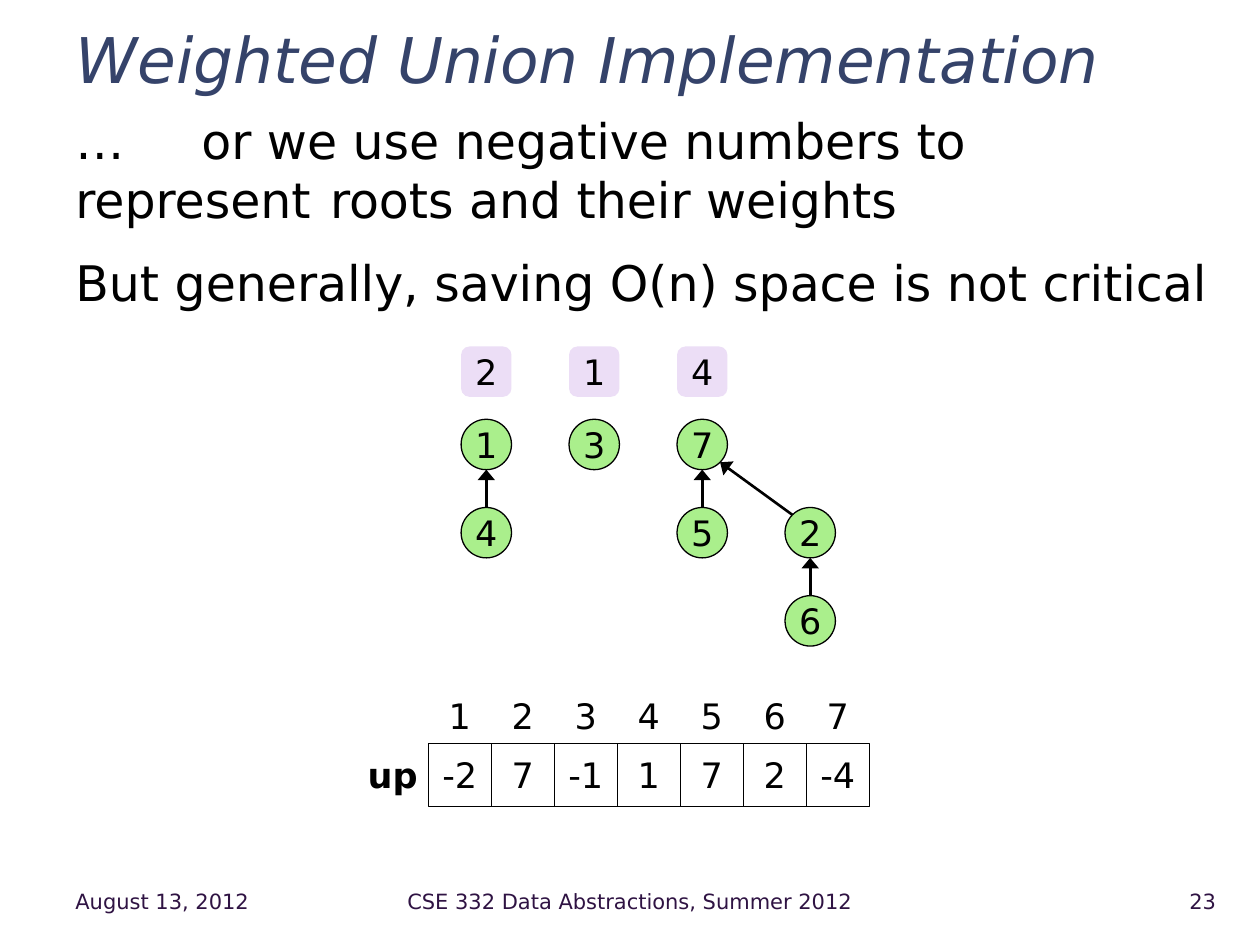
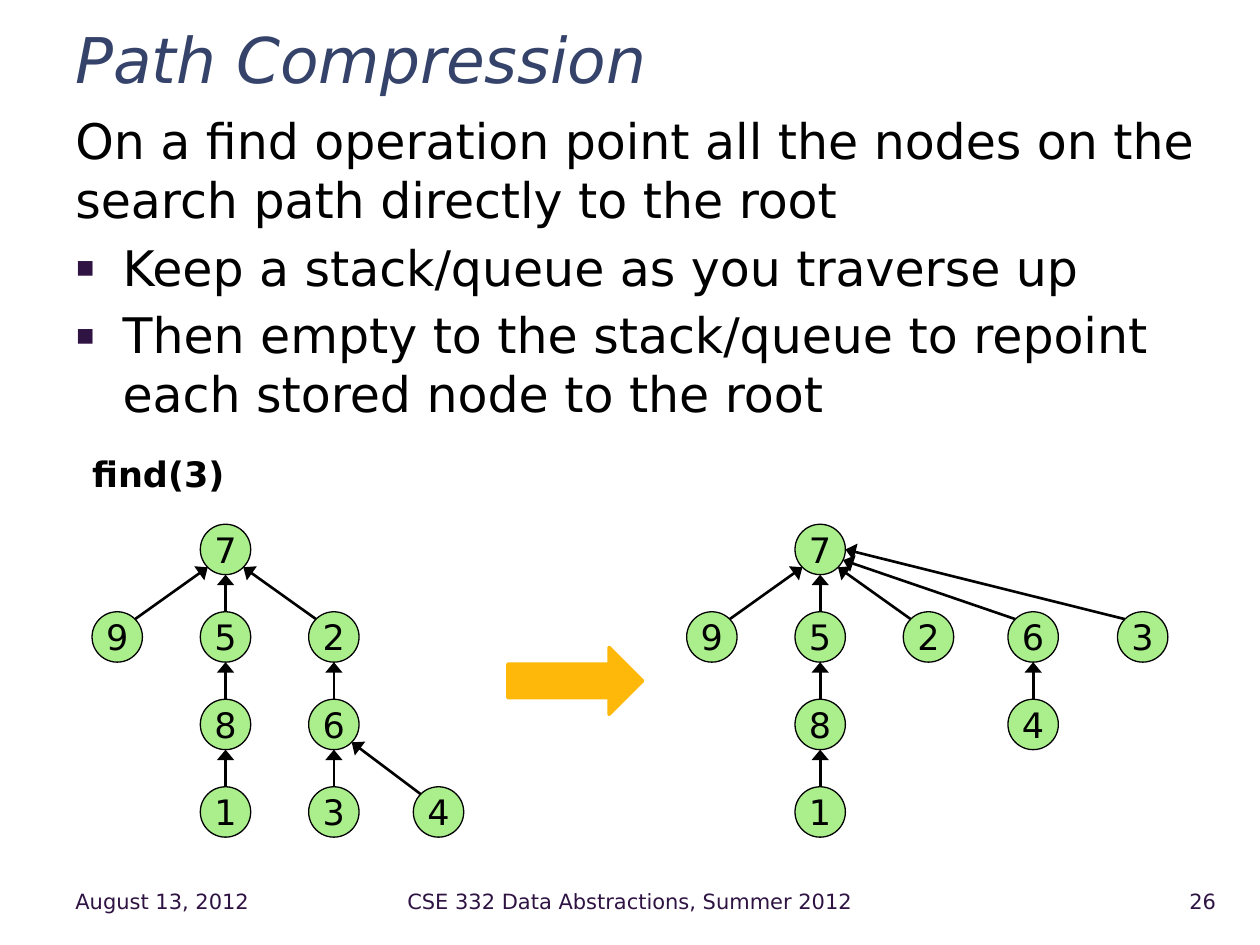
from math import cos, radians, sin
from lxml.etree import SubElement
from pptx import Presentation
from pptx.dml.color import RGBColor
from pptx.enum.shapes import MSO_CONNECTOR as CONNECTOR, MSO_SHAPE as SHAPE
from pptx.enum.text import MSO_ANCHOR as ANCHOR, PP_ALIGN as ALIGN
from pptx.oxml.ns import qn
from pptx.util import Pt

# Shared style
FONT = "DejaVu Sans"
BLACK, TITLE_BLUE, PURPLE = "000000", "35436A", "2F1343"
NODE_GREEN, WEIGHT_LILAC, ARROW_ORANGE = "AAEF8C", "ECDEF6", "FEB80A"
NODE = 28.8
RADIUS = NODE / 2
CELL = 36
color = RGBColor.from_string


def write(shape, text, size=20, ink=BLACK, align=ALIGN.CENTER, wrap=False,
          anchor=ANCHOR.MIDDLE, bold=False, italic=False):
    frame = shape.text_frame
    frame.text = text
    frame.word_wrap = wrap
    frame.vertical_anchor = anchor
    for paragraph in frame.paragraphs:
        paragraph.alignment = align
        for run in paragraph.runs:
            run.font.name, run.font.size = FONT, Pt(size)
            run.font.bold, run.font.italic = bold, italic
            run.font.color.rgb = color(ink)
    return frame


def draw_tree(slide, nodes, edges, end_angles={}):
    """Draw nodes {label: centre} and child-to-parent arrows ("41" is 4 to 1)."""
    for child, parent in edges:
        (child_x, child_y), (parent_x, parent_y) = nodes[child], nodes[parent]
        side = (child_x > parent_x) - (child_x < parent_x)
        start = radians(45 if side else 90)
        end = radians(end_angles.get(child, 45 if side else 90))
        arrow = slide.shapes.add_connector(
            CONNECTOR.STRAIGHT,
            Pt(child_x - side * RADIUS * cos(start)), Pt(child_y - RADIUS * sin(start)),
            Pt(parent_x + side * RADIUS * cos(end)), Pt(parent_y + RADIUS * sin(end)))
        arrow.line.color.rgb = color(BLACK)
        arrow.line.width = Pt(1.5)
        SubElement(arrow.line._get_or_add_ln(), qn("a:tailEnd"), type="triangle", w="lg")
        SubElement(arrow._element.spPr, qn("a:effectLst"))
    for label, (x, y) in nodes.items():
        circle = slide.shapes.add_shape(
            SHAPE.OVAL, Pt(x - RADIUS), Pt(y - RADIUS), Pt(NODE), Pt(NODE))
        circle.shadow.inherit = False
        circle.fill.solid()
        circle.fill.fore_color.rgb = color(NODE_GREEN)
        circle.line.color.rgb = color(BLACK)
        circle.line.width = Pt(0.75)
        write(circle, label)


presentation = Presentation()
presentation.slide_width, presentation.slide_height = Pt(720), Pt(540)

# Title, body and footer of each slide
contents = [
    ("Weighted Union Implementation", "23", 432,
     ["…\tor we use negative numbers to represent \troots and their weights",
      "But generally, saving O(n) space is not critical"]),
    ("Path Compression", "26", 190.8,
     ["On a find operation point all the nodes on the search path directly to the root",
      "Keep a stack/queue as you traverse up",
      "Then empty to the stack/queue to repoint each stored node to the root"]),
]
slides, bodies = [], []
for title, number, body_height, lines in contents:
    slide = presentation.slides.add_slide(presentation.slide_layouts[6])
    slides.append(slide)
    title_box = slide.shapes.add_textbox(Pt(36), Pt(12.24), Pt(666), Pt(38.16))
    frame = write(title_box, title, 36, TITLE_BLUE, ALIGN.LEFT, True, italic=True)
    frame.paragraphs[0].line_spacing = 1.1

    body_box = slide.shapes.add_textbox(Pt(36), Pt(59.76), Pt(666), Pt(body_height))
    bodies.append(write(body_box, "\n".join(lines), 28, align=ALIGN.LEFT, wrap=True,
                        anchor=ANCHOR.TOP))

    for left, width, text, align in [
            (36, 126, "August 13, 2012", ALIGN.LEFT),
            (167.3, 385.2, "CSE 332 Data Abstractions, Summer 2012", ALIGN.CENTER),
            (640, 62, number, ALIGN.RIGHT)]:
        footer = slide.shapes.add_textbox(Pt(left), Pt(500.4), Pt(width), Pt(28.8))
        write(footer, text, 12, PURPLE, align, True)

union_slide, compression_slide = slides

# Weighted union: tab stops and paragraph gap
opening, remark = bodies[0].paragraphs
tab_stops = SubElement(opening._p.get_or_add_pPr(), qn("a:tabLst"))
for position in (72, 145.5):
    SubElement(tab_stops, qn("a:tab"), pos=str(Pt(position)), algn="l")
remark.space_before = Pt(13.8)

# Weighted union: forest with the weight above each root
columns = [277.9 + 61.7 * i for i in range(4)]
rows = [254 + 50.4 * i for i in range(3)]
places = {"1": (0, 0), "4": (0, 1), "3": (1, 0), "5": (2, 1), "7": (2, 0),
          "2": (3, 1), "6": (3, 2)}
forest = {label: (columns[c], rows[r]) for label, (c, r) in places.items()}
draw_tree(union_slide, forest, ["41", "57", "27", "62"])
for x, weight in zip(columns, "214"):
    badge = union_slide.shapes.add_shape(
        SHAPE.ROUNDED_RECTANGLE, Pt(x - RADIUS), Pt(198), Pt(NODE), Pt(NODE))
    badge.shadow.inherit = False
    badge.fill.solid()
    badge.fill.fore_color.rgb = color(WEIGHT_LILAC)
    badge.line.fill.background()
    write(badge, weight)

# Weighted union: the "up" array with its indices
for i, value in enumerate(["-2", "7", "-1", "1", "7", "2", "-4"]):
    left = Pt(244.8 + CELL * i)
    cell = union_slide.shapes.add_shape(
        SHAPE.RECTANGLE, left, Pt(424.8), Pt(CELL), Pt(CELL))
    cell.shadow.inherit = False
    cell.fill.background()
    cell.line.color.rgb = color(BLACK)
    cell.line.width = Pt(0.75)
    write(cell, value)
    index = union_slide.shapes.add_textbox(left, Pt(391), Pt(CELL), Pt(CELL))
    write(index, str(i + 1))
array_name = union_slide.shapes.add_textbox(Pt(203), Pt(424.4), Pt(41), Pt(CELL))
frame = write(array_name, "up", align=ALIGN.LEFT, bold=True)
frame.margin_right = 0

# Path compression: bullets
for paragraph in bodies[1].paragraphs[1:]:
    paragraph.space_before = Pt(5)
    properties = paragraph._p.get_or_add_pPr()
    properties.set("marL", str(Pt(27)))
    properties.set("indent", str(-Pt(27)))
    bullet_color = SubElement(properties, qn("a:buClr"))
    SubElement(bullet_color, qn("a:srgbClr"), val=PURPLE)
    SubElement(properties, qn("a:buSzPct"), val="60000")
    SubElement(properties, qn("a:buFont"), typeface=FONT)
    SubElement(properties, qn("a:buChar"), char="▪")

# Path compression: the call
call = compression_slide.shapes.add_textbox(Pt(52.6), Pt(258.5), Pt(80.6), Pt(24.5))
frame = write(call, "find(3)", align=ALIGN.LEFT, anchor=ANCHOR.TOP, bold=True)
frame.margin_left = frame.margin_right = frame.margin_top = frame.margin_bottom = 0

# Path compression: tree before and after
columns = [67, 128.9, 190.8, 250.6, 313.2]
rows = [314 + 50 * i for i in range(4)]
shared = {"7": (1, 0), "9": (0, 1), "5": (1, 1), "2": (2, 1), "8": (1, 2), "1": (1, 3)}
shared_edges = ["97", "57", "27", "85", "18"]
trees = [
    (0, {"6": (2, 2), "3": (2, 3), "4": (3, 3)}, ["62", "36", "46"], {}),
    (339.8, {"6": (3, 1), "4": (3, 2), "3": (4, 1)}, ["67", "37", "46"],
     {"6": 25, "3": 0}),
]
for shift, moved, moved_edges, end_angles in trees:
    tree = {label: (columns[c] + shift, rows[r])
            for label, (c, r) in (shared | moved).items()}
    draw_tree(compression_slide, tree, shared_edges + moved_edges, end_angles)

# Path compression: arrow between the trees
becomes = compression_slide.shapes.add_shape(
    SHAPE.RIGHT_ARROW, Pt(290.2), Pt(370), Pt(77), Pt(38.2))
becomes.shadow.inherit = False
becomes.fill.solid()
becomes.fill.fore_color.rgb = color(ARROW_ORANGE)
becomes.line.color.rgb = color(ARROW_ORANGE)
becomes.line.width = Pt(2)

presentation.save("out.pptx")
